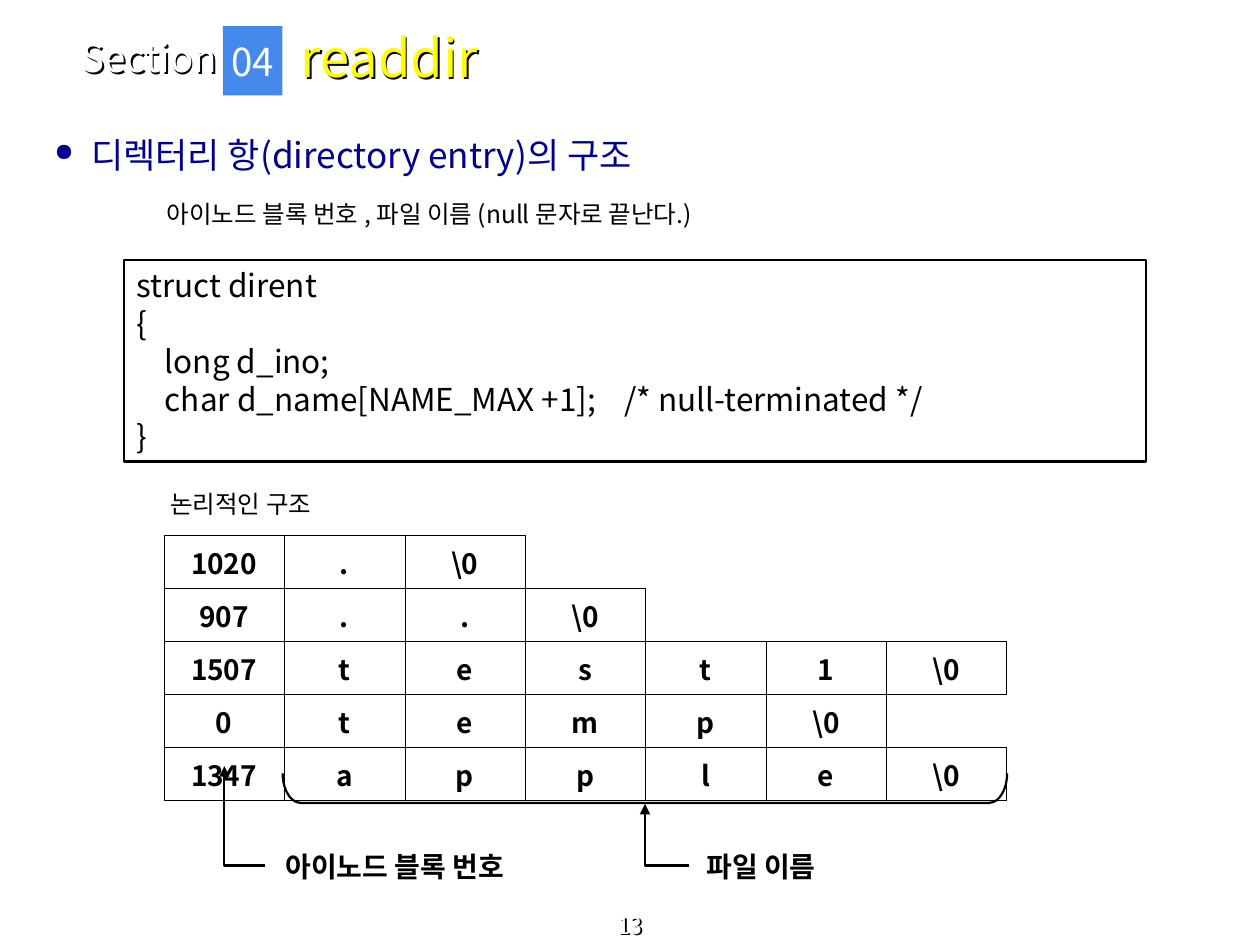
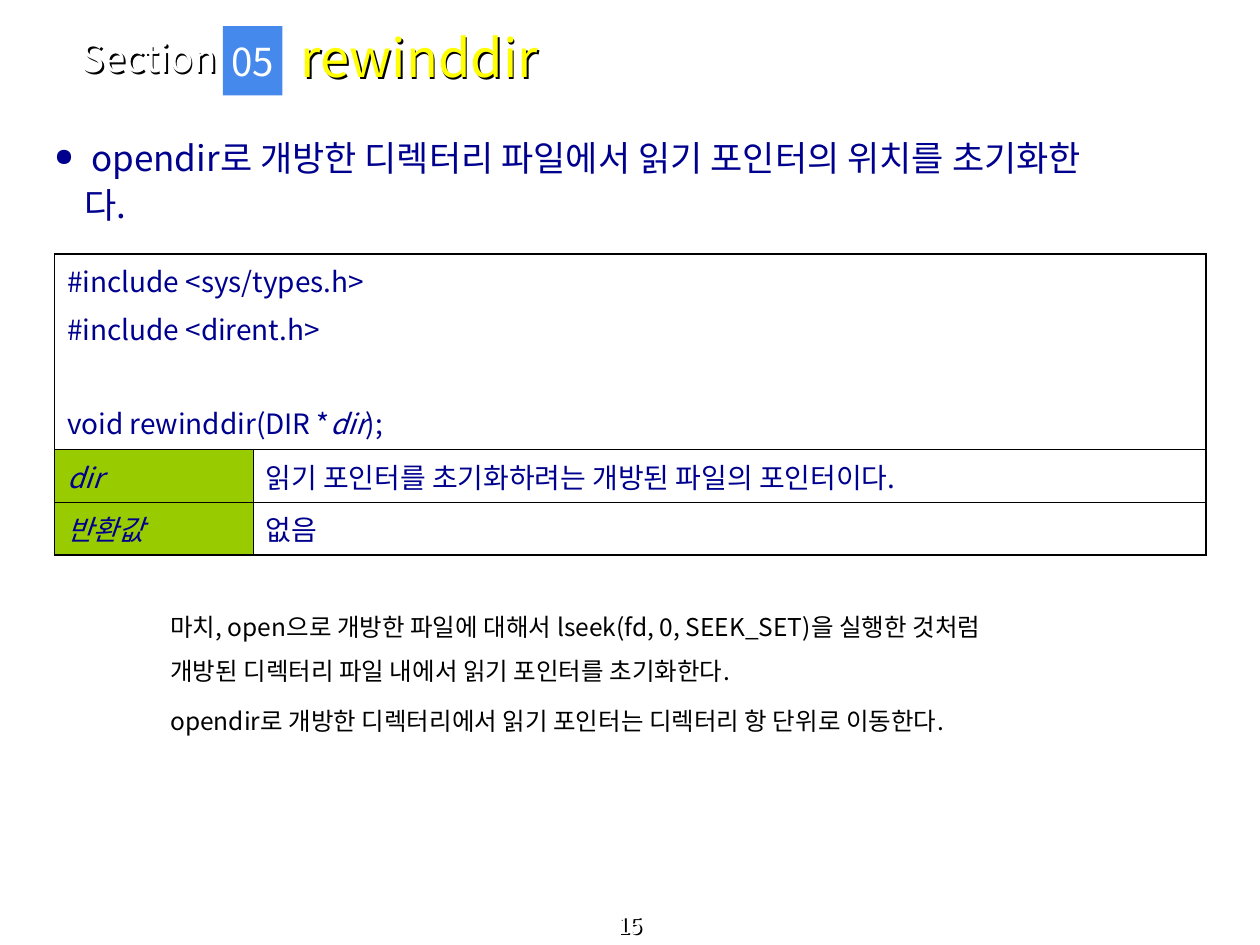
from lxml import etree
from pptx import Presentation
from pptx.dml.color import RGBColor
from pptx.enum.shapes import MSO_CONNECTOR, MSO_SHAPE
from pptx.enum.text import MSO_ANCHOR, PP_ALIGN
from pptx.oxml.ns import qn
from pptx.util import Pt

LEFT, CENTER, JUSTIFY = PP_ALIGN.LEFT, PP_ALIGN.CENTER, PP_ALIGN.JUSTIFY
TOP, MIDDLE, BOTTOM = MSO_ANCHOR.TOP, MSO_ANCHOR.MIDDLE, MSO_ANCHOR.BOTTOM
RECTANGLE, BRACKET = MSO_SHAPE.RECTANGLE, MSO_SHAPE.RIGHT_BRACKET
ELBOW = MSO_CONNECTOR.ELBOW


class Theme:
    font = "Noto Sans CJK KR"
    black = RGBColor(0x00, 0x00, 0x00)
    white = RGBColor(0xFF, 0xFF, 0xFF)
    yellow = RGBColor(0xFF, 0xFF, 0x00)
    navy = RGBColor(0x00, 0x00, 0x8E)
    blue = RGBColor(0x45, 0x89, 0xED)
    green = RGBColor(0x99, 0xCC, 0x00)
    title = 30
    section = 22
    heading = 20
    code = 18
    cell = 16
    body = 14
    page = 13
    line = 1.25


def write(tf, paragraphs, size, color, bold=False, italic=False, align=LEFT, anchor=TOP,
          wrap=True, before=0, spacing=None):
    tf.word_wrap = wrap
    tf.vertical_anchor = anchor
    for i, runs in enumerate(paragraphs):
        p = tf.add_paragraph() if i else tf.paragraphs[0]
        p.alignment = align
        p.line_spacing = spacing
        if i:
            p.space_before = Pt(before)
        for text, slanted in [(runs, italic)] if isinstance(runs, str) else runs:
            if text == "\n":
                p.add_line_break()
                continue
            r = p.add_run()
            r.text = text
            r.font.size = Pt(size)
            r.font.bold = bold
            r.font.italic = slanted
            r.font.color.rgb = color
            r.font.name = Theme.font
            rPr = r.font._element
            rPr.set("kern", "0")
            etree.SubElement(rPr, qn("a:ea"), typeface=Theme.font)


def border(cell, left, right, top, bottom):
    tcPr = cell._tc.get_or_add_tcPr()
    for side, width in zip("LRTB", (left, right, top, bottom)):
        ln = etree.SubElement(tcPr, qn(f"a:ln{side}"), w=str(int(Pt(width))))
        if width:
            fill = etree.SubElement(ln, qn("a:solidFill"))
            etree.SubElement(fill, qn("a:srgbClr"), val=str(Theme.black))
        else:
            etree.SubElement(ln, qn("a:noFill"))


prs = Presentation()
prs.slide_width, prs.slide_height = Pt(720), Pt(540)

pages = [
    ("04", "readdir", "13", 0.8, 28, ["디렉터리 항(directory entry)의 구조"]),
    ("05", "rewinddir", "15", 0.9, 57,
     ["opendir로 개방한 디렉터리 파일에서 읽기 포인터의 위치를 초기화한", "다."]),
]
slides = []
for number, title, page, spacing, height, heading in pages:
    s = prs.slides.add_slide(prs.slide_layouts[6])
    slides.append(s)
    shadowed = [
        (0, 524, 720, 16, page, Theme.page, Theme.white, CENTER, BOTTOM),
        (39.6, 19.4, 139, 26.6, "Section", Theme.section, Theme.white, LEFT, MIDDLE),
        (164.7, 8, 467, 49, title, Theme.title, Theme.yellow, LEFT, MIDDLE),
    ]
    for x, y, w, h, text, size, color, align, anchor in shadowed:
        tb = s.shapes.add_textbox(Pt(x), Pt(y), Pt(w), Pt(h))
        write(tb.text_frame, [text], size, color, align=align, anchor=anchor)
        effects = etree.SubElement(tb._element.spPr, qn("a:effectLst"))
        shadow = etree.SubElement(effects, qn("a:outerShdw"), dist=str(int(Pt(1.4))),
                                  dir="2700000", algn="ctr", rotWithShape="0")
        etree.SubElement(shadow, qn("a:srgbClr"), val=str(Theme.black))

    sp = s.shapes.add_shape(RECTANGLE, Pt(127.4), Pt(15), Pt(34), Pt(39.6))
    sp.shadow.inherit = False
    sp.fill.solid()
    sp.fill.fore_color.rgb = Theme.blue
    sp.line.fill.background()
    write(sp.text_frame, [number], Theme.section, Theme.white,
          align=CENTER, anchor=MIDDLE, wrap=False)

    tb = s.shapes.add_textbox(Pt(24), Pt(77.3), Pt(672), Pt(height))
    write(tb.text_frame, heading, Theme.heading, Theme.navy, before=5, spacing=spacing)
    for i, p in enumerate(tb.text_frame.paragraphs):
        pPr = p._p.get_or_add_pPr()
        pPr.set("marL", str(int(Pt(17 if i else 21))))
        if i == 0:
            pPr.set("indent", str(int(Pt(-21))))
            color = etree.SubElement(pPr, qn("a:buClr"))
            etree.SubElement(color, qn("a:srgbClr"), val=str(Theme.navy))
            etree.SubElement(pPr, qn("a:buSzPct"), val="70000")
            etree.SubElement(pPr, qn("a:buChar"), char="●")

readdir, rewinddir = slides

labels = [
    (90.2, 275.8, 553, 34, "논리적인 구조", Theme.body, False),
    (88.2, 110.2, 400, 24.5, "아이노드 블록 번호 , 파일 이름 (null 문자로 끝난다.)", Theme.body, False),
    (156.2, 481.7, 160, 26.6, "아이노드 블록 번호", Theme.cell, True),
    (396.7, 481.7, 90, 26.6, "파일 이름", Theme.cell, True),
]
for x, y, w, h, text, size, bold in labels:
    tb = readdir.shapes.add_textbox(Pt(x), Pt(y), Pt(w), Pt(h))
    write(tb.text_frame, [text], size, Theme.black, bold=bold)

entries = [
    ["1020", ".", "\\0"],
    ["907", ".", ".", "\\0"],
    ["1507", "t", "e", "s", "t", "1", "\\0"],
    ["0", "t", "e", "m", "p", "\\0"],
    ["1347", "a", "p", "p", "l", "e", "\\0"],
]
columns = max(len(entry) for entry in entries)
row_height = 30.3
frame = readdir.shapes.add_table(len(entries), columns, Pt(93.6), Pt(306),
                                 Pt(481.6), Pt(row_height * len(entries)))
table = frame.table
table.first_row = table.horz_banding = False
for column in table.columns:
    column.width = Pt(68.8)
lengths = [0] + [len(entry) for entry in entries] + [0]
hairline = 0.06
for i, entry in enumerate(entries):
    table.rows[i].height = Pt(row_height)
    above, own, below = lengths[i:i + 3]
    for j in range(columns):
        cell = table.cell(i, j)
        edges = (j <= own, j < own, j < max(above, own), j < max(own, below))
        border(cell, *[hairline * edge for edge in edges])
        cell.fill.background()
        cell.vertical_anchor = MIDDLE
        if j < own:
            write(cell.text_frame, [entry[j]], Theme.cell, Theme.black,
                  bold=True, align=CENTER, anchor=MIDDLE)

bracket = readdir.shapes.add_shape(BRACKET, Pt(360), Pt(243.4), Pt(17), Pt(414))
bracket.shadow.inherit = False
bracket.rotation = 90
bracket.adjustments[0] = 0.62
bracket.fill.background()
bracket.line.color.rgb = Theme.black
bracket.line.width = Pt(Theme.line)

for start_x, tip_x, tip_y in [(151.2, 128.2, 437.8), (393.8, 368.6, 459.4)]:
    arrow = readdir.shapes.add_connector(ELBOW, Pt(start_x), Pt(494.6), Pt(tip_x), Pt(tip_y))
    arrow.line.color.rgb = Theme.black
    arrow.line.width = Pt(Theme.line)
    spPr = arrow._element.spPr
    spPr.find(qn("a:prstGeom")).set("prst", "bentConnector2")
    etree.SubElement(spPr.find(qn("a:ln")), qn("a:tailEnd"), type="triangle")
    etree.SubElement(spPr, qn("a:effectLst"))

struct = readdir.shapes.add_shape(RECTANGLE, Pt(71), Pt(148.6), Pt(584), Pt(115.2))
struct.shadow.inherit = False
struct.fill.background()
struct.line.color.rgb = Theme.black
struct.line.width = Pt(Theme.line)
write(struct.text_frame, [
    "struct dirent",
    "{",
    "    long d_ino;",
    "    char d_name[NAME_MAX +1];    /* null-terminated */",
    "}",
], Theme.code, Theme.black, anchor=MIDDLE)

frame = rewinddir.shapes.add_table(3, 2, Pt(31.2), Pt(145.2), Pt(658), Pt(172))
table = frame.table
table.first_row = table.horz_banding = False
for column, width in zip(table.columns, (113.4, 544.6)):
    column.width = Pt(width)
for row, height in zip(table.rows, (111.6, 30.2, 30.2)):
    row.height = Pt(height)
outer, inner = 1.08, 0.45
for i in range(3):
    for j in range(2):
        cell = table.cell(i, j)
        border(cell, inner if i and j else outer, inner if i and not j else outer,
               inner if i else outer, outer if i == 2 else inner)
        if i and j == 0:
            cell.fill.solid()
            cell.fill.fore_color.rgb = Theme.green
        else:
            cell.fill.background()
table.cell(0, 0).merge(table.cell(0, 1))

prototype = table.cell(0, 0).text_frame
write(prototype, [
    "#include <sys/types.h>",
    "#include <dirent.h>",
    [("void rewinddir(DIR *", False), ("dir", True), (");", False)],
], Theme.cell, Theme.navy, before=4)
prototype.paragraphs[2].space_before = Pt(31)
descriptions = [
    ("dir", "읽기 포인터를 초기화하려는 개방된 파일의 포인터이다.", LEFT),
    ("반환값", "없음", JUSTIFY),
]
for i, (name, meaning, align) in enumerate(descriptions, 1):
    write(table.cell(i, 0).text_frame, [name], Theme.cell, Theme.navy, italic=True)
    write(table.cell(i, 1).text_frame, [meaning], Theme.cell, Theme.navy, align=align)

tb = rewinddir.shapes.add_textbox(Pt(90.2), Pt(337.7), Pt(569.5), Pt(96.5))
write(tb.text_frame, [
    [("마치, open으로 개방한 파일에 대해서 lseek(fd, 0, SEEK_SET)을 실행한 것처럼", False),
     ("\n", False),
     ("개방된 디렉터리 파일 내에서 읽기 포인터를 초기화한다.", False)],
    "opendir로 개방한 디렉터리에서 읽기 포인터는 디렉터리 항 단위로 이동한다.",
], Theme.body, Theme.black, before=3.5, spacing=1.5)

prs.save("out.pptx")
